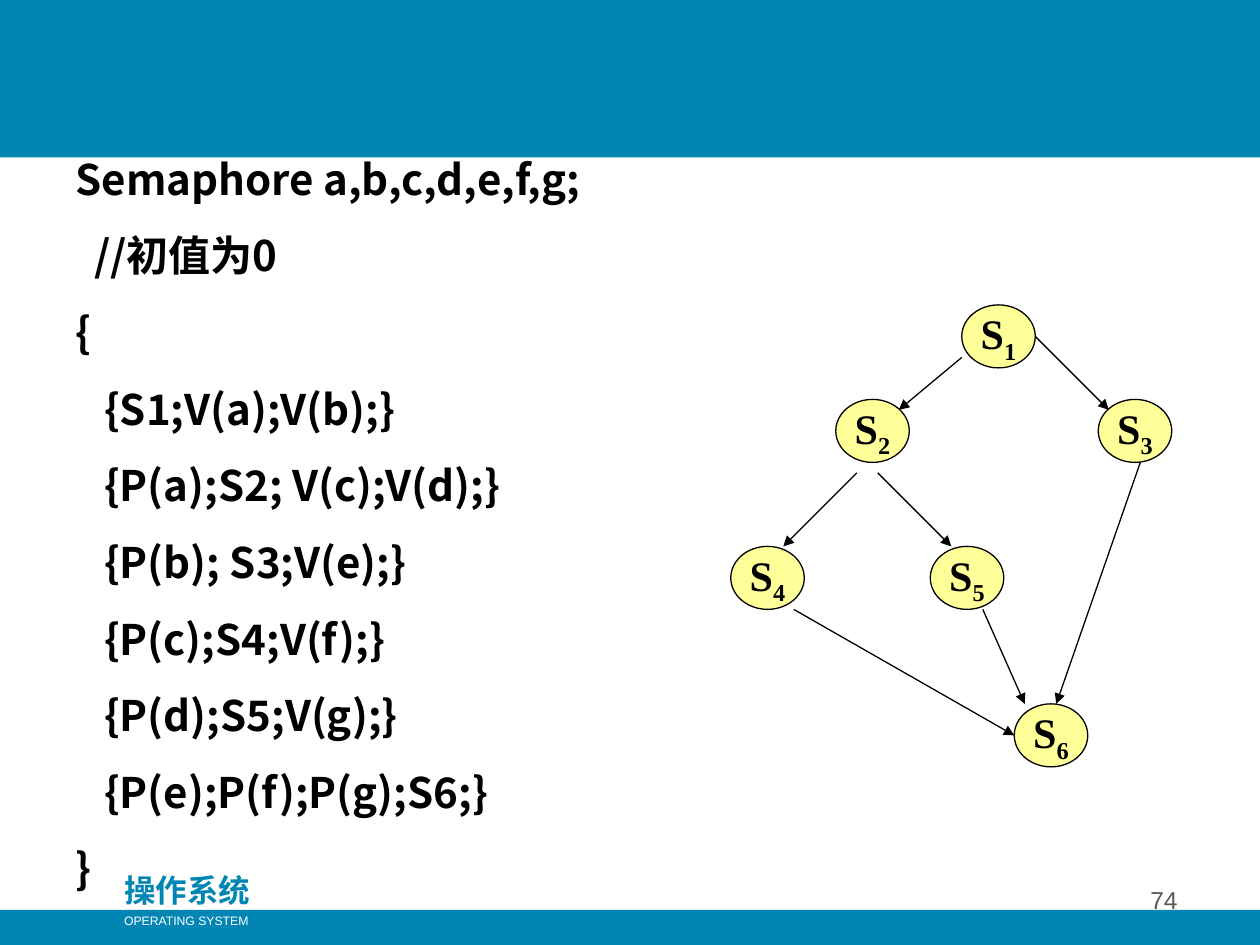
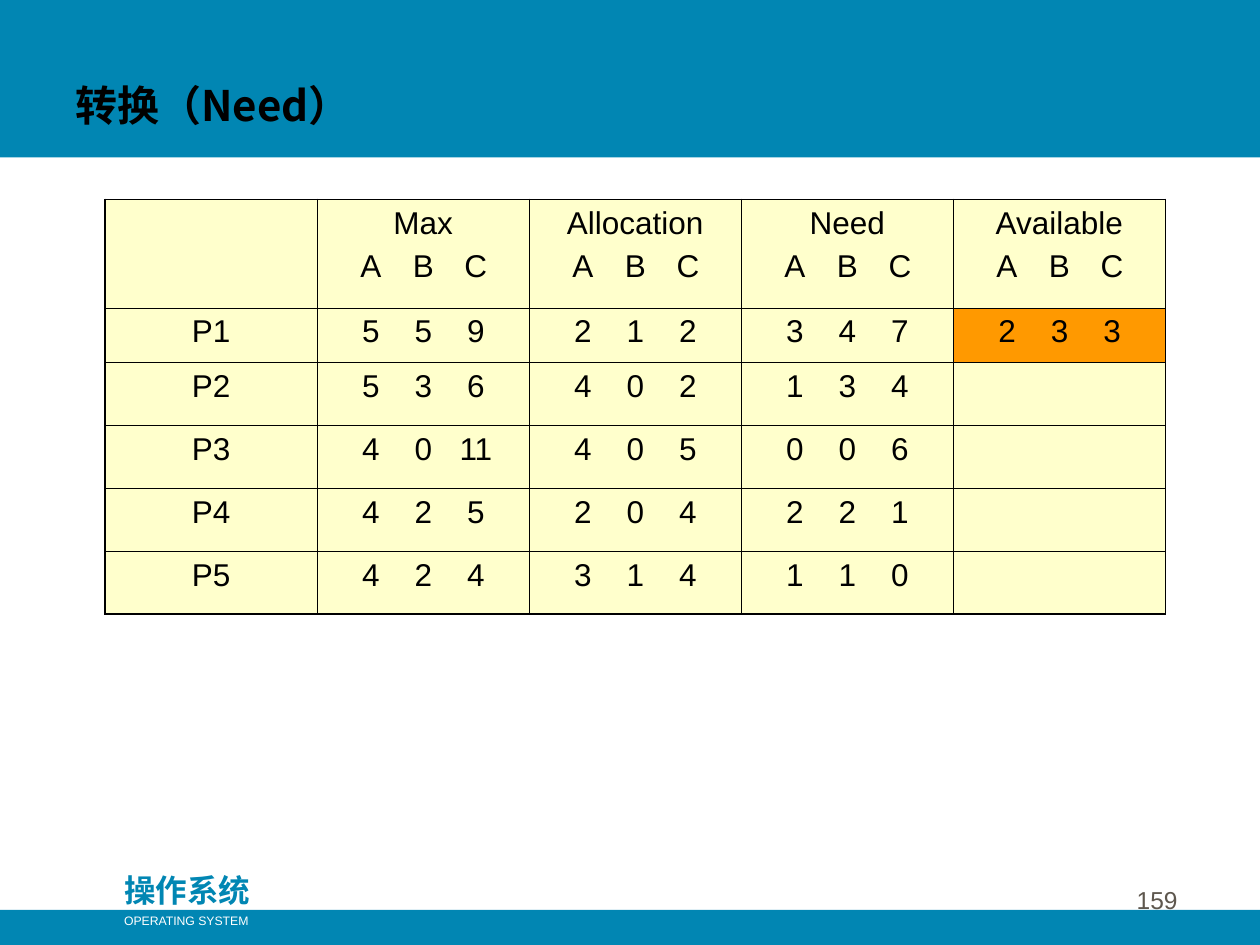
from lxml.etree import SubElement
from pptx import Presentation
from pptx.dml.color import RGBColor
from pptx.enum.shapes import MSO_CONNECTOR, MSO_SHAPE
from pptx.enum.text import MSO_ANCHOR, PP_ALIGN
from pptx.oxml.ns import qn
from pptx.util import Pt

COLORS = {
    "band": "0186B3",
    "ink": "000000",
    "white": "FFFFFF",
    "page": "5E574E",
    "node": "FFFF99",
    "cell": "FFFFCC",
    "highlight": "FF9900",
}
HEADING_FONT = "Noto Sans CJK SC"
BODY_FONT = "Arial"
NODE_FONT = "Times New Roman"
SLIDE_W, SLIDE_H = 720, 540

CODE_LINES = [
    "Semaphore a,b,c,d,e,f,g;",
    "  //初值为0",
    "{",
    "   {S1;V(a);V(b);}",
    "   {P(a);S2; V(c);V(d);}",
    "   {P(b); S3;V(e);}",
    "   {P(c);S4;V(f);}",
    "   {P(d);S5;V(g);}",
    "   {P(e);P(f);P(g);S6;}",
    "}",
]

# Node positions and arrow ends, relative to the graph's top left corner
NODE_W, NODE_H = 42, 36
NODES = {
    "1": (132, 0), "2": (60, 54), "3": (210, 54),
    "4": (0, 138), "5": (114, 138), "6": (162, 228),
}
ARROWS = [
    ((132, 30), (96, 60)),
    ((174, 18), (216, 60)),
    ((72, 96), (30, 138)),
    ((84, 96), (126, 138)),
    ((36, 174), (162, 246)),
    ((144, 174), (168, 228)),
    ((234, 90), (186, 228)),
]

RESOURCES = "ABC"
HEADERS = ["Max", "Allocation", "Need", "Available"]
PROCESSES = [
    ("P1", (5, 5, 9), (2, 1, 2), (3, 4, 7), (2, 3, 3)),
    ("P2", (5, 3, 6), (4, 0, 2), (1, 3, 4), ()),
    ("P3", (4, 0, 11), (4, 0, 5), (0, 0, 6), ()),
    ("P4", (4, 2, 5), (2, 0, 4), (2, 2, 1), ()),
    ("P5", (4, 2, 4), (3, 1, 4), (1, 1, 0), ()),
]


def rgb(name):
    return RGBColor.from_string(COLORS[name])


def style(paragraph, size, color="ink", font=BODY_FONT, bold=False,
          align=PP_ALIGN.LEFT):
    paragraph.alignment = align
    paragraph.font.size = Pt(size)
    paragraph.font.bold = bold
    paragraph.font.name = font
    paragraph.font.color.rgb = rgb(color)
    defaults = paragraph._p.pPr.find(qn("a:defRPr"))
    SubElement(defaults, qn("a:ea")).set("typeface", font)


def add_text(slide, box, lines, size, gap=0, wrap=True,
             anchor=MSO_ANCHOR.TOP, **look):
    frame = slide.shapes.add_textbox(*map(Pt, box)).text_frame
    frame.word_wrap = wrap
    frame.vertical_anchor = anchor
    for i, line in enumerate(lines):
        paragraph = frame.add_paragraph() if i else frame.paragraphs[0]
        paragraph.text = line
        if i:
            paragraph.space_before = Pt(gap)
        style(paragraph, size, **look)


def add_solid(slide, preset, box, color):
    shape = slide.shapes.add_shape(preset, *map(Pt, box))
    shape.shadow.inherit = False
    shape.fill.solid()
    shape.fill.fore_color.rgb = rgb(color)
    shape.line.fill.background()
    return shape


def add_frame(prs, page):
    """Blank slide with the shared bands, course name and page number."""
    slide = prs.slides.add_slide(prs.slide_layouts[6])
    for top, height in ((0, 90), (520, 20)):
        add_solid(slide, MSO_SHAPE.RECTANGLE, (0, top, SLIDE_W, height), "band")
    add_text(slide, (60, 494, 94, 29), ["操作系统"], 18, color="band",
             font=HEADING_FONT, bold=True, align=PP_ALIGN.CENTER)
    add_text(slide, (63.5, 518.5, 86, 16), ["OPERATING SYSTEM"], 7, wrap=False,
             color="white", align=PP_ALIGN.CENTER)
    add_text(slide, (530, 490, 150, 36), [str(page)], 14, color="page",
             anchor=MSO_ANCHOR.BOTTOM, align=PP_ALIGN.RIGHT)
    return slide


def add_node(slide, number, left, top):
    node = add_solid(slide, MSO_SHAPE.OVAL, (left, top, NODE_W, NODE_H), "node")
    node.line.color.rgb = rgb("ink")
    node.line.width = Pt(0.75)
    frame = node.text_frame
    frame.word_wrap = False
    frame.vertical_anchor = MSO_ANCHOR.MIDDLE
    paragraph = frame.paragraphs[0]
    paragraph.add_run().text = "S"
    subscript = paragraph.add_run()
    subscript.text = number
    subscript._r.get_or_add_rPr().set("baseline", "-25000")
    style(paragraph, 24, font=NODE_FONT, bold=True, align=PP_ALIGN.CENTER)


def add_arrow(slide, start, end):
    arrow = slide.shapes.add_connector(
        MSO_CONNECTOR.STRAIGHT, *map(Pt, (*start, *end)))
    arrow.line.color.rgb = rgb("ink")
    arrow.line.width = Pt(0.75)
    SubElement(arrow.line._get_or_add_ln(), qn("a:tailEnd")).set("type", "triangle")
    SubElement(arrow._element.spPr, qn("a:effectLst"))


def add_graph(slide, left, top):
    """Precedence graph of the six statements."""
    for number, (x, y) in NODES.items():
        add_node(slide, number, left + x, top + y)
    for ends in ARROWS:
        add_arrow(slide, *((left + x, top + y) for x, y in ends))


def set_borders(cell, widths):
    """Draw the left, right, top and bottom borders of a cell."""
    properties = cell._tc.get_or_add_tcPr()
    for i, (side, width) in enumerate(zip("LRTB", widths)):
        line = properties.makeelement(qn(f"a:ln{side}"), {"w": str(Pt(width))})
        fill = SubElement(line, qn("a:solidFill"))
        SubElement(fill, qn("a:srgbClr")).set("val", COLORS["ink"])
        properties.insert(i, line)


def add_triple(paragraph, values):
    """Set three values in columns on centred tab stops."""
    paragraph.text = "".join(f"\t{value}" for value in values)
    tabs = SubElement(paragraph._p.get_or_add_pPr(), qn("a:tabLst"))
    for i in range(len(values)):
        tab = SubElement(tabs, qn("a:tab"))
        tab.set("pos", str(Pt(23.5 + 30 * i)))
        tab.set("algn", "ctr")
    style(paragraph, 18)


def add_resource_table(slide, left, top, width):
    heights = [62, 31] + [36] * 4
    rows, cols = len(heights), len(HEADERS) + 1
    table = slide.shapes.add_table(
        rows, cols, Pt(left), Pt(top), Pt(width), Pt(sum(heights))).table
    for row, height in zip(table.rows, heights):
        row.height = Pt(height)
    for column in table.columns:
        column.width = Pt(width / cols)

    # Fill and borders, heavier round the outside
    for r in range(rows):
        for c in range(cols):
            cell = table.cell(r, c)
            cell.fill.solid()
            available_now = (r, c) == (1, cols - 1)
            cell.fill.fore_color.rgb = rgb("highlight" if available_now else "cell")
            outer = (c == 0, c == cols - 1, r == 0, r == rows - 1)
            set_borders(cell, [1.08 if edge else 0.45 for edge in outer])

    # Headers over the resource letters
    for c, header in enumerate(HEADERS, 1):
        frame = table.cell(0, c).text_frame
        frame.text = header
        style(frame.paragraphs[0], 18, align=PP_ALIGN.CENTER)
        letters = frame.add_paragraph()
        letters.space_before = Pt(4.5)
        add_triple(letters, RESOURCES)

    # One row for each process
    for r, (process, *counts) in enumerate(PROCESSES, 1):
        label = table.cell(r, 0).text_frame.paragraphs[0]
        label.text = process
        style(label, 18, align=PP_ALIGN.CENTER)
        for c, values in enumerate(counts, 1):
            if values:
                add_triple(table.cell(r, c).text_frame.paragraphs[0], values)


def add_semaphore_slide(prs):
    slide = add_frame(prs, 74)
    add_text(slide, (36, 84, 414, 431), CODE_LINES, 24, gap=15,
             font=HEADING_FONT, bold=True)
    add_graph(slide, 417.6, 174.25)


def add_need_slide(prs):
    slide = add_frame(prs, 159)
    add_resource_table(slide, 60, 114, 606)
    add_text(slide, (36, 42, 240, 36), ["转换（Need）"], 24,
             font=HEADING_FONT, bold=True)


def main():
    prs = Presentation()
    prs.slide_width, prs.slide_height = Pt(SLIDE_W), Pt(SLIDE_H)
    add_semaphore_slide(prs)
    add_need_slide(prs)
    prs.save("out.pptx")


if __name__ == "__main__":
    main()
